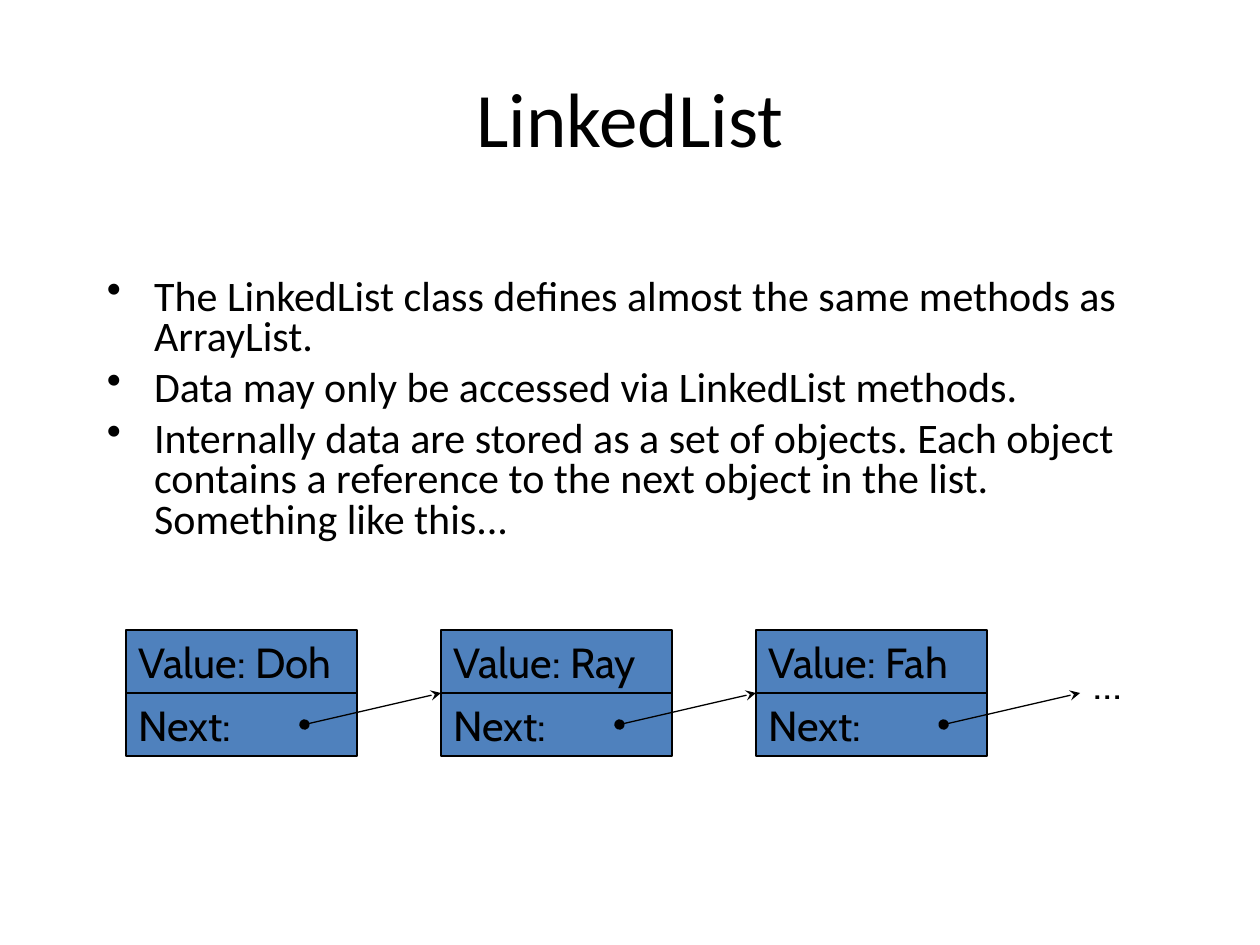
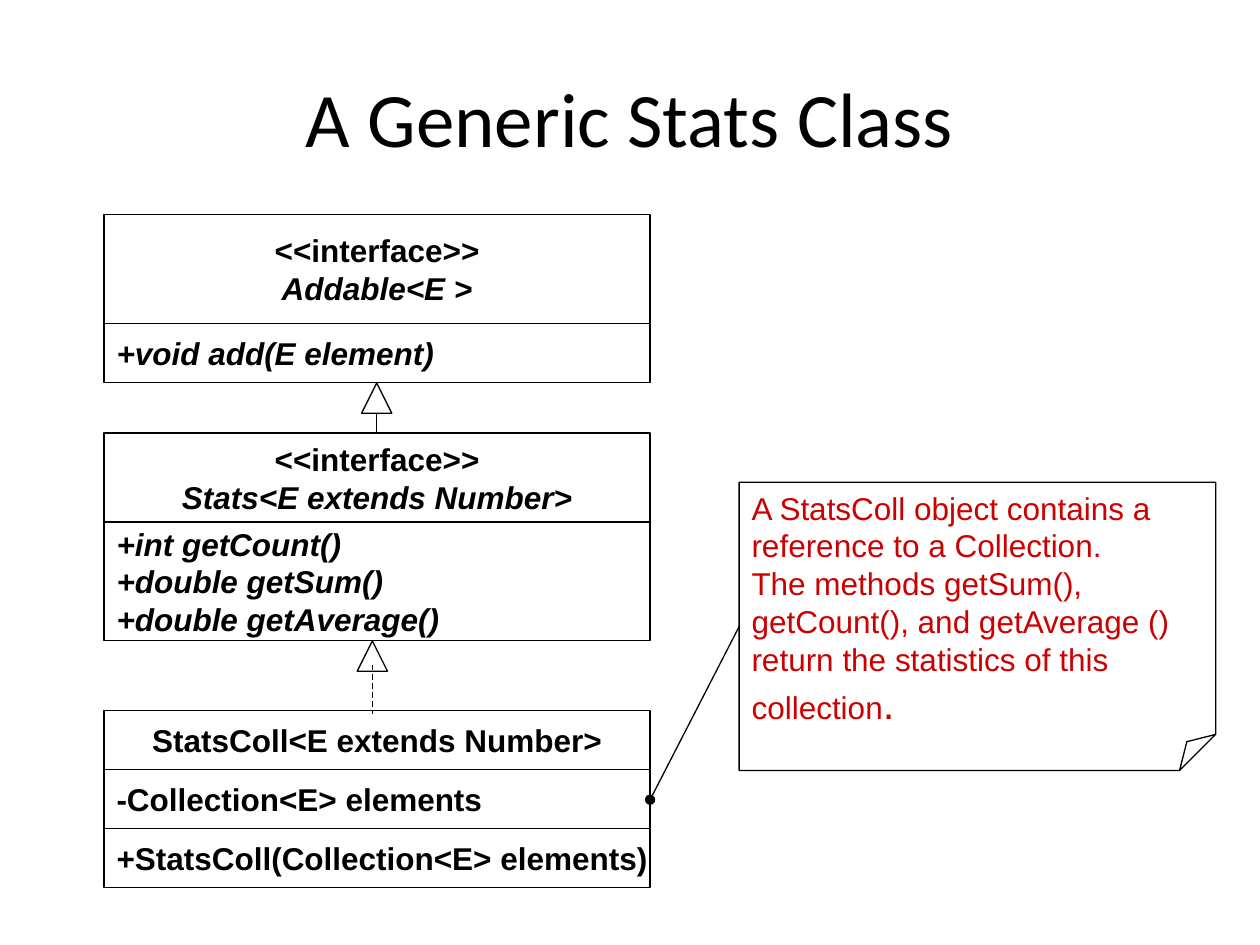
from lxml import etree
from pptx import Presentation
from pptx.dml.color import RGBColor
from pptx.enum.dml import MSO_LINE
from pptx.enum.shapes import MSO_CONNECTOR, MSO_SHAPE
from pptx.enum.text import MSO_ANCHOR, PP_ALIGN
from pptx.oxml.ns import qn
from pptx.util import Pt

BLACK = RGBColor(0x00, 0x00, 0x00)
NODE_BLUE = RGBColor(0x4F, 0x81, 0xBD)
NOTE_RED = RGBColor(0xCC, 0x00, 0x00)
LINE_WIDTH = 0.75

POINTS = [
    "The LinkedList class defines almost the same methods as ArrayList.",
    "Data may only be accessed via LinkedList methods.",
    "Internally data are stored as a set of objects. Each object contains a "
    "reference to the next object in the list. Something like this...",
]
NOTE = [
    "A StatsColl object contains a reference to a Collection.",
    "The methods getSum(), getCount(), and getAverage () return the "
    "statistics of this collection",
]


def set_font(paragraph, name, size, color=BLACK, bold=None, italic=None):
    font = paragraph.font
    font.name, font.size = name, Pt(size)
    font.color.rgb = color
    font.bold, font.italic = bold, italic


def write(frame, lines, font, size, color=BLACK, align=PP_ALIGN.LEFT, bold=None, italics=()):
    for index, line in enumerate(lines):
        paragraph = frame.paragraphs[0] if index == 0 else frame.add_paragraph()
        paragraph.text = line
        paragraph.alignment = align
        set_font(paragraph, font, size, color, bold, index in italics or None)


def add_titled_slide(prs, heading):
    slide = prs.slides.add_slide(prs.slide_layouts[5])
    title = slide.shapes.title
    title.left, title.top, title.width, title.height = Pt(36), Pt(21.6), Pt(648), Pt(90)
    title.text_frame.vertical_anchor = MSO_ANCHOR.MIDDLE
    write(title.text_frame, [heading], "Calibri", 44, align=PP_ALIGN.CENTER)
    return slide


def add_outlined(shapes, preset, left, top, width, height, fill=None):
    outlined = shapes.add_shape(preset, Pt(left), Pt(top), Pt(width), Pt(height))
    outlined.shadow.inherit = False
    if fill is None:
        outlined.fill.background()
    else:
        outlined.fill.solid()
        outlined.fill.fore_color.rgb = fill
    outlined.line.color.rgb = BLACK
    outlined.line.width = Pt(LINE_WIDTH)
    outlined.text_frame.word_wrap = False
    outlined.text_frame.vertical_anchor = MSO_ANCHOR.MIDDLE
    return outlined


def add_line(shapes, start, end, head=None, tail=None, dash=None):
    link = shapes.add_connector(MSO_CONNECTOR.STRAIGHT, *map(Pt, (*start, *end)))
    link.line.color.rgb = BLACK
    link.line.width = Pt(LINE_WIDTH)
    if dash:
        link.line.dash_style = dash
    properties = link._element.spPr.find(qn("a:ln"))
    for tag, kind in (("a:headEnd", head), ("a:tailEnd", tail)):
        if kind:
            etree.SubElement(properties, qn(tag), type=kind)
    etree.SubElement(link._element.spPr, qn("a:effectLst"))


def add_bullets(slide, left, top, width, height, points):
    body = slide.shapes.add_textbox(Pt(left), Pt(top), Pt(width), Pt(height))
    frame = body.text_frame
    frame.word_wrap = True
    for index, point in enumerate(points):
        paragraph = frame.add_paragraph() if index else frame.paragraphs[0]
        paragraph.text = point
        paragraph.line_spacing = 0.8
        paragraph.space_before = Pt(6 if index else 0)
        properties = paragraph._p.get_or_add_pPr()
        properties.set("marL", str(Pt(27)))
        properties.set("indent", str(-Pt(27)))
        etree.SubElement(properties, qn("a:buChar"), char="•")
        set_font(paragraph, "Calibri", 24)


def add_node(slide, left, top, value):
    node = slide.shapes.add_group_shape()
    for row, text in enumerate([f"Value: {value}", "Next:"]):
        cell = add_outlined(node.shapes, MSO_SHAPE.RECTANGLE, left, top + 36 * row, 132, 36, NODE_BLUE)
        write(cell.text_frame, [text], "Cabin", 24)


def add_chain(slide, left, top, values):
    pitch = 180
    for index, value in enumerate(values):
        node_left = left + pitch * index
        add_node(slide, node_left, top, value)
        shift = 5.2 if index == len(values) - 1 else 0
        start = node_left + 102 + shift
        add_line(slide.shapes, (start, top + 54), (start + 78, top + 36), "oval", "stealth")
    ellipsis = slide.shapes.add_textbox(Pt(left + 545.8), Pt(top + 12.2), Pt(72), Pt(36))
    ellipsis.text_frame.word_wrap = True
    write(ellipsis.text_frame, ["…"], "Cabin", 24)


def add_class(slide, left, top, width, compartments):
    for height, align, lines, italics in compartments:
        compartment = add_outlined(slide.shapes, MSO_SHAPE.RECTANGLE, left, top, width, height)
        write(compartment.text_frame, lines, "Arial", 18, align=align, bold=True, italics=italics)
        top += height


def add_inheritance(slide, center, top, stem_top, stem_bottom, dash=None):
    side = 17.3
    add_outlined(slide.shapes, MSO_SHAPE.ISOSCELES_TRIANGLE, center - side / 2, top, side, side)
    add_line(slide.shapes, (center, stem_top), (center, stem_bottom), dash=dash)


def add_note(slide, left, top, width, height, lines):
    note = add_outlined(slide.shapes, MSO_SHAPE.FOLDED_CORNER, left, top, width, height)
    geometry = note._element.spPr.find(qn("a:prstGeom"))
    fold = geometry.find(qn("a:avLst"))
    etree.SubElement(fold, qn("a:gd"), name="adj", fmla="val 12500")
    frame = note.text_frame
    frame.word_wrap = True
    write(frame, lines, "Arial", 18, NOTE_RED)
    full_stop = frame.paragraphs[-1].add_run()
    full_stop.text = "."
    full_stop.font.size = Pt(24)


def build_linked_list(prs):
    slide = add_titled_slide(prs, "LinkedList")
    add_bullets(slide, 54, 156, 612, 168, POINTS)
    add_chain(slide, 72, 360, ["Doh", "Ray", "Fah"])


def build_stats_class(prs):
    slide = add_titled_slide(prs, "A Generic Stats Class")
    left, width = 59.5, 312
    center, side = PP_ALIGN.CENTER, PP_ALIGN.LEFT
    add_class(slide, left, 122.4, width, [
        (62.4, center, ["<<interface>>", "Addable<E >"], {1}),
        (34, side, ["+void add(E element)"], {0}),
    ])
    add_class(slide, left, 247.5, width, [
        (50.8, center, ["<<interface>>", "Stats<E extends Number>"], {1}),
        (67.8, side, ["+int getCount()", "+double getSum()", "+double getAverage()"], {0, 1, 2}),
    ])
    add_class(slide, left, 406, width, [
        (33.8, center, ["StatsColl<E extends Number>"], ()),
        (33.8, side, ["-Collection<E> elements"], ()),
        (33.8, side, ["+StatsColl(Collection<E> elements)"], ()),
    ])
    add_inheritance(slide, 215.3, 218.9, 236.2, 247.5)
    add_inheritance(slide, 212.8, 366.3, 380.2, 408.2, MSO_LINE.DASH)
    add_note(slide, 422.4, 275.6, 272.3, 164.7, NOTE)
    add_line(slide.shapes, (left + width, 457), (422.4, 358), head="oval")


def main():
    prs = Presentation()
    prs.slide_width, prs.slide_height = Pt(720), Pt(540)
    build_linked_list(prs)
    build_stats_class(prs)
    prs.save("out.pptx")


if __name__ == "__main__":
    main()
